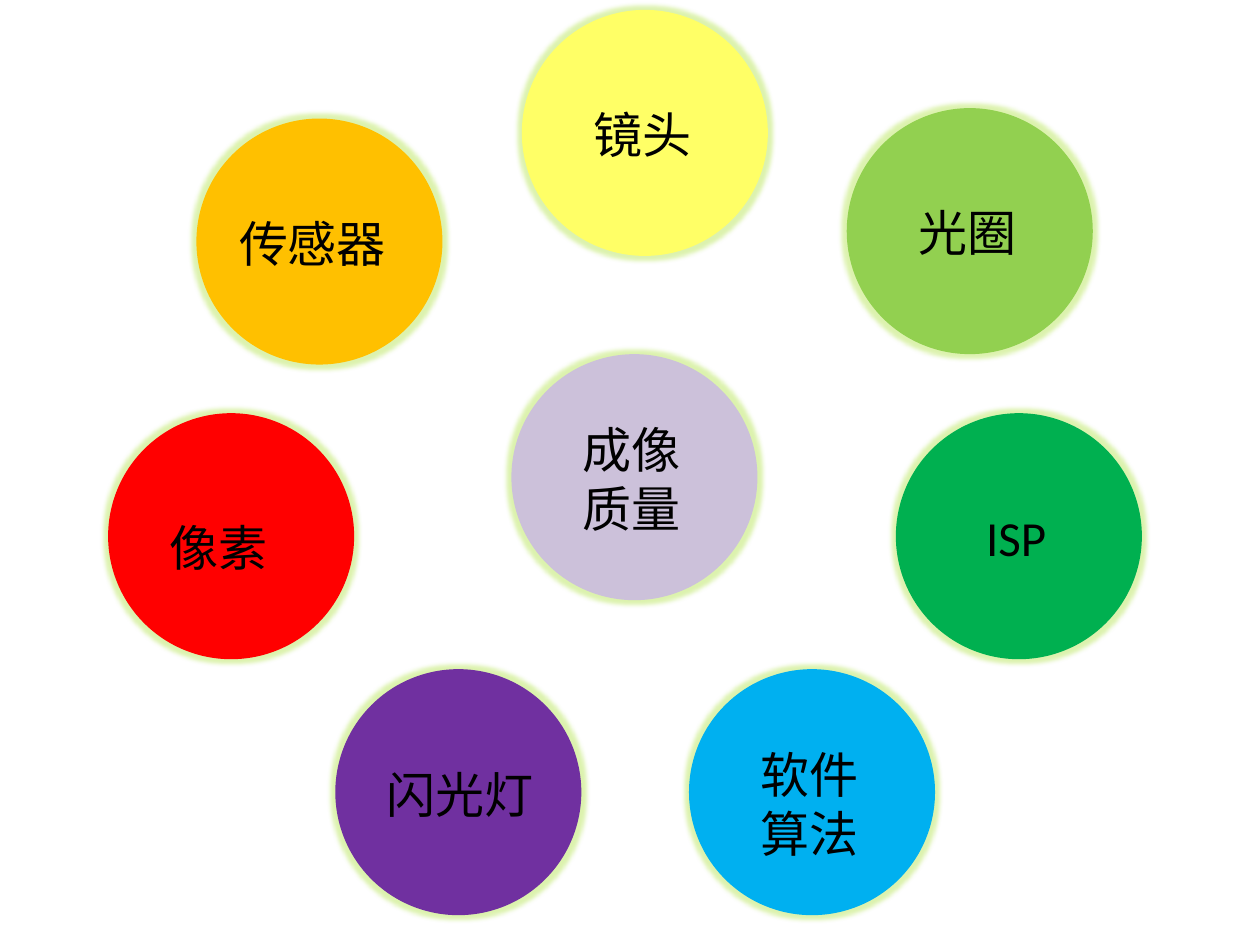
from dataclasses import dataclass

from lxml import etree
from pptx import Presentation
from pptx.dml.color import RGBColor
from pptx.enum.shapes import MSO_SHAPE
from pptx.enum.text import MSO_AUTO_SIZE
from pptx.oxml.ns import qn
from pptx.util import Cm, Pt

ELLIPSE = MSO_SHAPE.OVAL
GROW_TO_TEXT = MSO_AUTO_SIZE.SHAPE_TO_FIT_TEXT
BLANK_LAYOUT = 6


@dataclass(frozen=True)
class Theme:
    font: str = "Calibri"
    label_size: int = 28
    ink: str = "000000"
    glow: str = "A9E036"
    glow_opacity: int = 40
    glow_radius: int = 5
    red: str = "FF0000"
    lavender: str = "CCC1DA"
    purple: str = "7030A0"
    blue: str = "00B0F0"
    green: str = "00B050"
    lime: str = "92D050"
    yellow: str = "FFFF66"
    orange: str = "FFC000"


THEME = Theme()

# Circle diameter and label boxes, in centimetres
DIAMETER = 4.96
LATIN_WIDTH, TWO_CHARS, THREE_CHARS = 1.78, 2.59, 3.96
ONE_LINE, TWO_LINES = 1.45, 2.64

# Label, colour, circle (left, top), label offset in the circle, label size
FACTORS = [
    ("像素", THEME.red, (2.18, 8.33), (0.99, 1.98), (TWO_CHARS, ONE_LINE)),
    ("成像质量", THEME.lavender, (10.31, 7.14), (1.19, 1.19), (TWO_CHARS, TWO_LINES)),
    ("闪光灯", THEME.purple, (6.76, 13.49), (0.79, 1.8), (THREE_CHARS, ONE_LINE)),
    ("软件算法", THEME.blue, (13.89, 13.49), (1.19, 1.4), (TWO_CHARS, TWO_LINES)),
    ("ISP", THEME.green, (18.06, 8.33), (1.57, 1.78), (LATIN_WIDTH, ONE_LINE)),
    ("光圈", THEME.lime, (17.07, 2.18), (1.19, 1.78), (TWO_CHARS, ONE_LINE)),
    ("镜头", THEME.yellow, (10.52, 0.2), (1.19, 1.78), (TWO_CHARS, ONE_LINE)),
    ("传感器", THEME.orange, (3.96, 2.39), (0.61, 1.78), (THREE_CHARS, ONE_LINE)),
]


def add_text(shapes, text, left, top, width, height, *, size, color, font):
    box = shapes.add_textbox(Cm(left), Cm(top), Cm(width), Cm(height))
    frame = box.text_frame
    frame.word_wrap = True
    frame.auto_size = GROW_TO_TEXT
    run = frame.paragraphs[0].add_run()
    run.text = text
    run.font.size = Pt(size)
    run.font.name = font
    run.font.color.rgb = RGBColor.from_string(color)


def add_glow(shape):
    shape.shadow.inherit = False
    effects = shape._element.spPr.find(qn("a:effectLst"))
    glow = etree.SubElement(effects, qn("a:glow"), rad=str(Pt(THEME.glow_radius)))
    color = etree.SubElement(glow, qn("a:srgbClr"), val=THEME.glow)
    etree.SubElement(color, qn("a:alpha"), val=str(THEME.glow_opacity * 1000))


def add_factor(slide, label, color, position, label_offset, label_box):
    left, top = position
    offset_x, offset_y = label_offset
    factor = slide.shapes.add_group_shape()

    # Glowing circle
    circle = factor.shapes.add_shape(
        ELLIPSE, Cm(left), Cm(top), Cm(DIAMETER), Cm(DIAMETER))
    circle.fill.solid()
    circle.fill.fore_color.rgb = RGBColor.from_string(color)
    circle.line.fill.background()
    add_glow(circle)

    # Label
    add_text(factor.shapes, label, left + offset_x, top + offset_y, *label_box,
             size=THEME.label_size, color=THEME.ink, font=THEME.font)


def build_image_quality_slide(deck):
    slide = deck.slides.add_slide(deck.slide_layouts[BLANK_LAYOUT])
    for factor in FACTORS:
        add_factor(slide, *factor)


presentation = Presentation()
presentation.slide_width = Cm(25.4)
presentation.slide_height = Cm(19.05)
build_image_quality_slide(presentation)
presentation.save("out.pptx")
